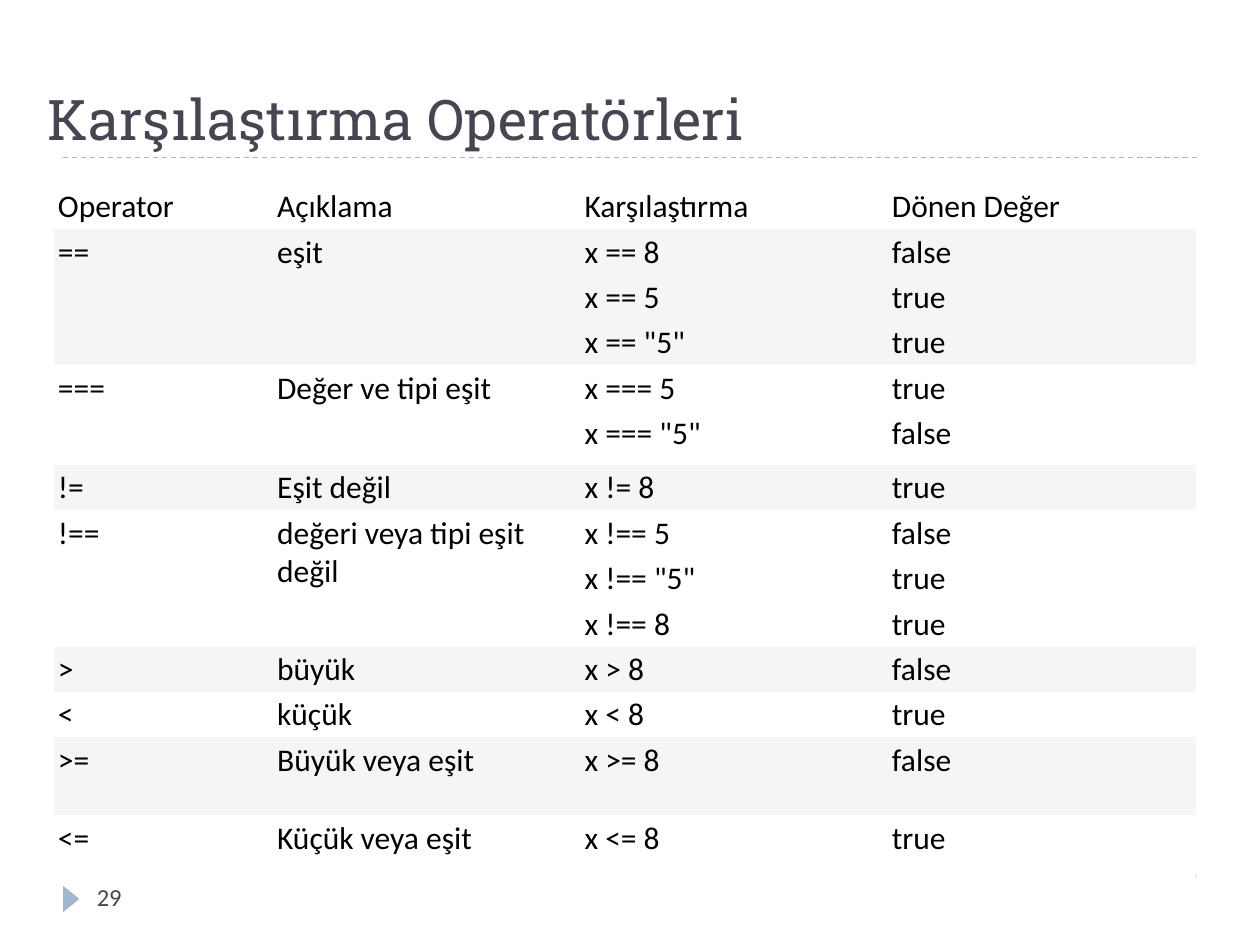
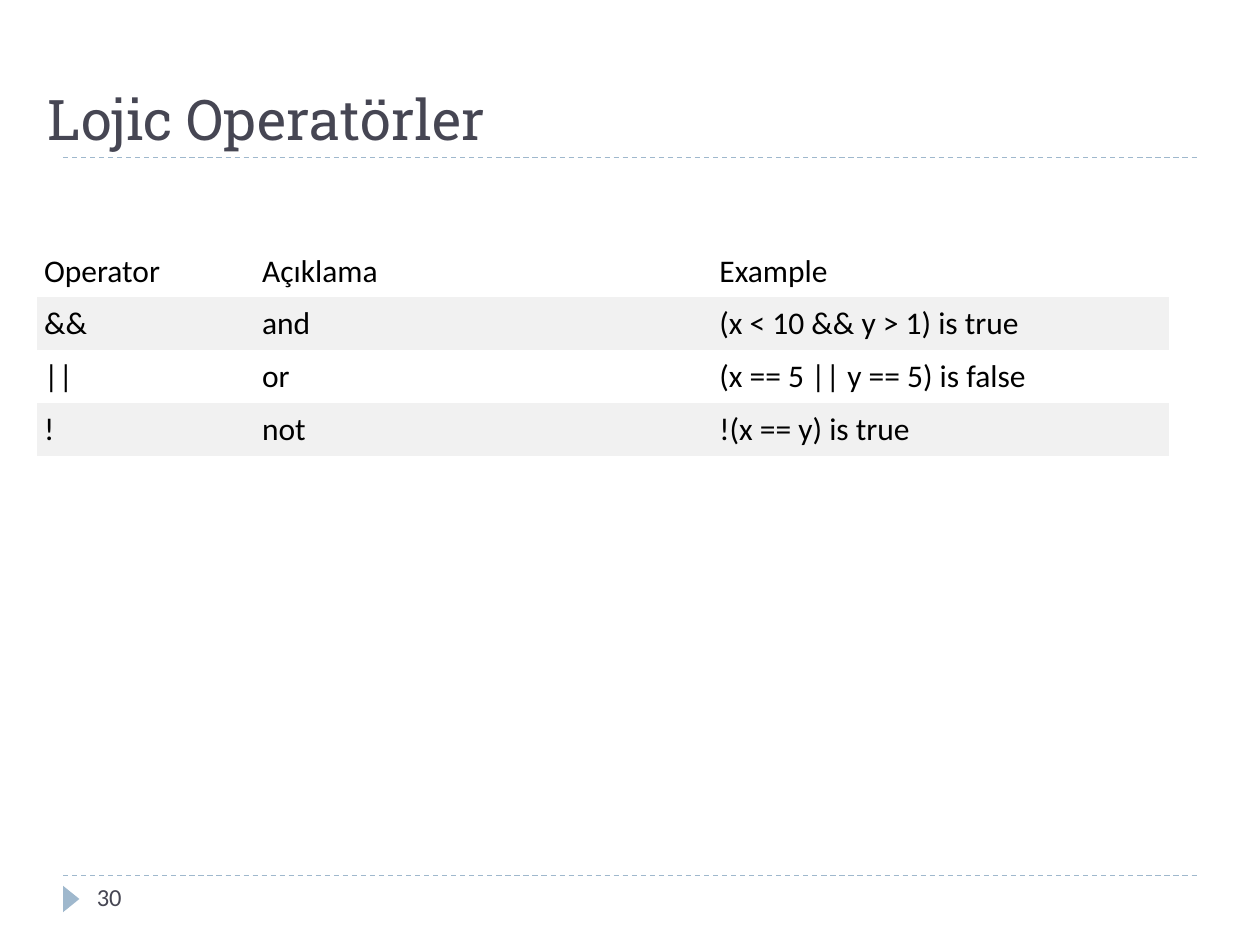
from dataclasses import dataclass

from lxml.etree import SubElement
from pptx import Presentation
from pptx.dml.color import RGBColor
from pptx.enum.dml import MSO_LINE
from pptx.enum.shapes import MSO_CONNECTOR, MSO_SHAPE
from pptx.enum.text import MSO_ANCHOR
from pptx.oxml.ns import qn
from pptx.slide import Slide
from pptx.text.text import TextFrame
from pptx.util import Inches, Pt

INK = "464653"
ACCENT = "9FB8CD"
WHITE = "FFFFFF"
BLACK = "000000"
TITLE_FONT = "Roboto Slab"
BODY_FONT = "Calibri"
PLAIN_TABLE_STYLE = "{2D5ABB26-0587-4C30-8999-92F81FD0307C}"


@dataclass
class OperatorGroup:
    """One operator: its labels and one or more rows of examples."""
    labels: tuple[str, ...]
    examples: list[tuple[str, ...]]


@dataclass
class OperatorTable:
    left: float
    top: float
    column_widths: list[float]
    row_heights: list[float]
    margin: float
    band: str
    groups: list[OperatorGroup]


@dataclass
class OperatorSlide:
    title: str
    number: int
    table: OperatorTable


def colour(code: str) -> RGBColor:
    return RGBColor.from_string(code)


def write(frame: TextFrame, text: str, font: str, size: float, ink: str) -> None:
    frame.word_wrap = True
    frame.text = text
    for paragraph in frame.paragraphs:
        for run in paragraph.runs:
            run.font.name = font
            run.font.size = Pt(size)
            run.font.color.rgb = colour(ink)


def draw_rule(slide: Slide, y: float) -> None:
    rule = slide.shapes.add_connector(
        MSO_CONNECTOR.STRAIGHT, Inches(0.5), Inches(y), Inches(9.5), Inches(y))
    rule.line.color.rgb = colour(ACCENT)
    rule.line.width = Pt(0.75)
    rule.line.dash_style = MSO_LINE.DASH
    SubElement(rule._element.spPr, qn("a:effectLst"))


def draw_frame(slide: Slide, title: str, number: int) -> None:
    """Draw the rules, page marker, title and page number."""
    for y in (6.95, 1.25):
        draw_rule(slide, y)

    marker = slide.shapes.add_shape(
        MSO_SHAPE.ISOSCELES_TRIANGLE,
        Inches(0.46), Inches(7.07), Inches(0.21), Inches(0.13))
    marker.rotation = 90
    marker.shadow.inherit = False
    marker.fill.solid()
    marker.fill.fore_color.rgb = colour(ACCENT)
    marker.line.fill.background()

    heading = slide.shapes.add_textbox(
        Inches(0.28), Inches(0.17), Inches(9), Inches(1.08)).text_frame
    heading.vertical_anchor = MSO_ANCHOR.BOTTOM
    write(heading, title, TITLE_FONT, 32, INK)

    page = slide.shapes.add_textbox(
        Inches(0.67), Inches(6.95), Inches(2.17), Inches(0.4)).text_frame
    write(page, str(number), BODY_FONT, 14, INK)


def draw_table(slide: Slide, content: OperatorTable) -> None:
    widths, heights = content.column_widths, content.row_heights
    grid = slide.shapes.add_table(
        len(heights), len(widths), Inches(content.left), Inches(content.top),
        Inches(sum(widths)), Inches(sum(heights))).table
    grid.first_row = False
    grid.horz_banding = False
    grid._tbl.tblPr.find(qn("a:tableStyleId")).text = PLAIN_TABLE_STYLE
    for column, width in zip(grid.columns, widths):
        column.width = Inches(width)
    for row, height in zip(grid.rows, heights):
        row.height = Inches(height)

    # Bands alternate by group; labels span all examples of their group
    first = 0
    for index, group in enumerate(content.groups):
        fill = content.band if index % 2 else WHITE
        for offset, example in enumerate(group.examples):
            labels = group.labels if offset == 0 else ("",) * len(group.labels)
            for column, text in enumerate(labels + example):
                cell = grid.cell(first + offset, column)
                cell.fill.solid()
                cell.fill.fore_color.rgb = colour(fill)
                cell.margin_left = cell.margin_right = Inches(content.margin)
                cell.margin_top = cell.margin_bottom = Inches(content.margin)
                write(cell.text_frame, text, BODY_FONT, 18, BLACK)
        last = first + len(group.examples) - 1
        if last > first:
            for column in range(len(group.labels)):
                grid.cell(first, column).merge(grid.cell(last, column))
        first = last + 1


# Content; the last comparison row is shorter to stay clear of the footer
comparison = OperatorTable(
    left=0.43, top=1.46, column_widths=[1.74] + [2.44] * 3,
    row_heights=[0.34] * 5 + [0.43] + [0.34] * 6 + [0.62, 0.53],
    margin=0.03, band="F5F5F5",
    groups=[
        OperatorGroup(("Operator", "Açıklama"), [("Karşılaştırma", "Dönen Değer")]),
        OperatorGroup(("==", "eşit"), [
            ("x == 8", "false"), ("x == 5", "true"), ('x == "5"', "true")]),
        OperatorGroup(("===", "Değer ve tipi eşit"), [
            ("x === 5", "true"), ('x === "5"', "false")]),
        OperatorGroup(("!=", "Eşit değil"), [("x != 8", "true")]),
        OperatorGroup(("!==", "değeri veya tipi eşit değil"), [
            ("x !== 5", "false"), ('x !== "5"', "true"), ("x !== 8", "true")]),
        OperatorGroup((">", "büyük"), [("x > 8", "false")]),
        OperatorGroup(("<", "küçük"), [("x < 8", "true")]),
        OperatorGroup((">=", "Büyük veya eşit"), [("x >= 8", "false")]),
        OperatorGroup(("<=", "Küçük veya eşit"), [("x <= 8", "true")]),
    ])

logic = OperatorTable(
    left=0.29, top=1.94, column_widths=[1.73, 3.63, 3.63],
    row_heights=[0.41] * 4, margin=0.06, band="F1F1F1",
    groups=[
        OperatorGroup(("Operator", "Açıklama"), [("Example",)]),
        OperatorGroup(("&&", "and"), [("(x < 10 && y > 1) is true",)]),
        OperatorGroup(("||", "or"), [("(x == 5 || y == 5) is false",)]),
        OperatorGroup(("!", "not"), [("!(x == y) is true",)]),
    ])

lessons = [
    OperatorSlide("Karşılaştırma Operatörleri", 29, comparison),
    OperatorSlide("Lojic Operatörler", 30, logic),
]

# Build the slides
deck = Presentation()
deck.slide_width, deck.slide_height = Inches(10), Inches(7.5)
for lesson in lessons:
    page_slide = deck.slides.add_slide(deck.slide_layouts[6])
    draw_frame(page_slide, lesson.title, lesson.number)
    draw_table(page_slide, lesson.table)
deck.save("out.pptx")
